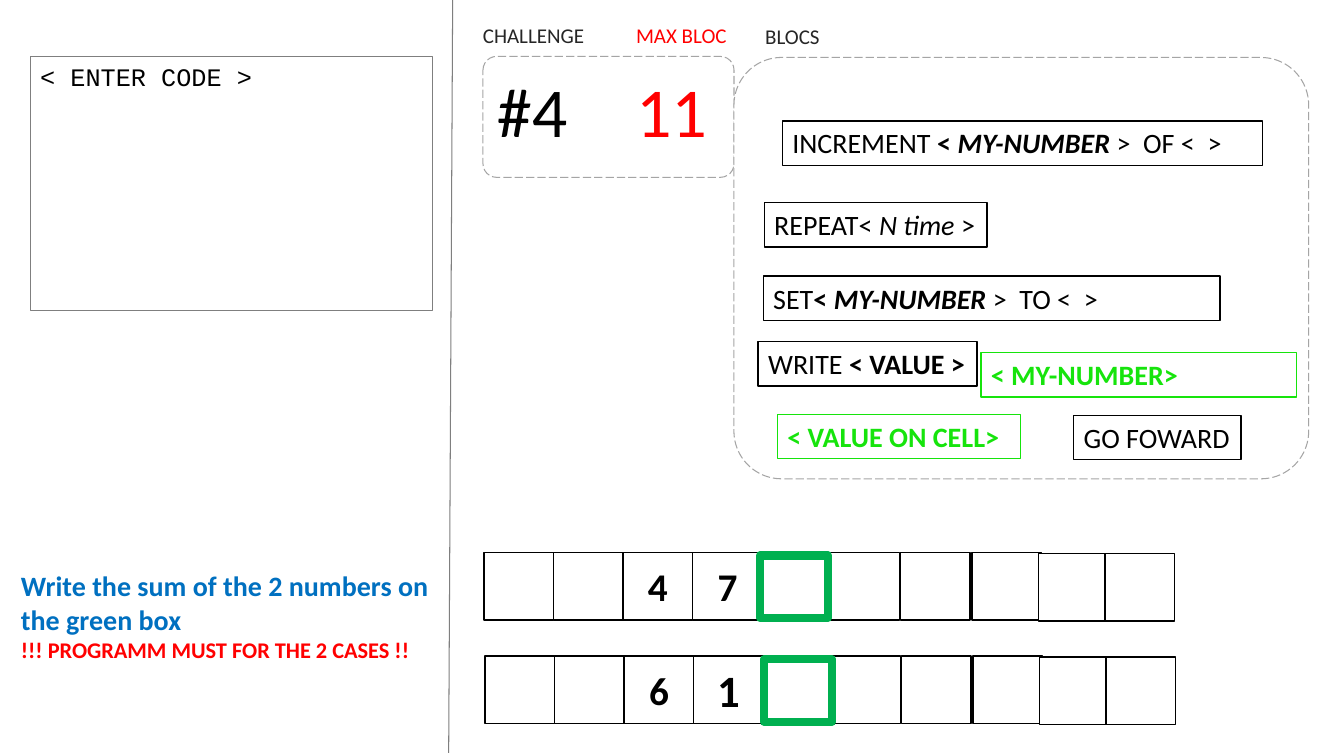
from lxml import etree
from pptx import Presentation
from pptx.dml.color import RGBColor
from pptx.enum.dml import MSO_LINE
from pptx.enum.shapes import MSO_CONNECTOR, MSO_SHAPE
from pptx.enum.text import MSO_ANCHOR, PP_ALIGN
from pptx.oxml.ns import qn
from pptx.util import Inches, Pt

COLORS = {
    "black": "000000", "white": "FFFFFF", "gray": "7F7F7F", "dash": "A5A5A5",
    "label": "262626", "red": "FF0000", "blue": "0070C0",
    "value": "16E40C", "target": "00B050",
}
CELL_W, CELL_H = 0.69, 0.67
# Cell offsets from the left end of a row: four before the target, five after it
CELLS_BEFORE = [i * CELL_W for i in range(4)]
CELLS_AFTER = [3.43, 4.13] + [4.84 + i * 0.66 for i in range(3)]


def rgb(name):
    return RGBColor.from_string(COLORS[name])


def set_font(font, size, color, bold=False, name="Calibri"):
    font.size, font.bold, font.name = Pt(size), bold, name
    font.color.rgb = rgb(color)


def add_box(slide, x, y, w, h, line="black", width=1, fill="white",
            kind=MSO_SHAPE.RECTANGLE):
    sp = slide.shapes.add_shape(kind, Inches(x), Inches(y), Inches(w), Inches(h))
    sp.shadow.inherit = False
    if fill:
        sp.fill.solid()
        sp.fill.fore_color.rgb = rgb(fill)
    else:
        sp.fill.background()
    sp.line.color.rgb = rgb(line)
    sp.line.width = Pt(width)
    return sp


def add_panel(slide, x, y, w, h):
    sp = add_box(slide, x, y, w, h, "dash", 0.75, kind=MSO_SHAPE.ROUNDED_RECTANGLE)
    sp.adjustments[0] = 0.113
    sp.line.dash_style = MSO_LINE.LONG_DASH


def add_divider(slide, x1, y1, x2, y2):
    line = slide.shapes.add_connector(MSO_CONNECTOR.STRAIGHT, Inches(x1), Inches(y1),
                                      Inches(x2), Inches(y2))
    line.line.color.rgb = rgb("gray")
    line.line.width = Pt(0.75)
    etree.SubElement(line._element.spPr, qn("a:effectLst"))


def add_text(slide, x, y, w, h, paragraphs):
    """Add a text box; each paragraph is (text, size, color, bold)."""
    tf = slide.shapes.add_textbox(Inches(x), Inches(y), Inches(w), Inches(h)).text_frame
    tf.word_wrap = True
    for i, (text, size, color, bold) in enumerate(paragraphs):
        p = tf.add_paragraph() if i else tf.paragraphs[0]
        p.text = text
        set_font(p.font, size, color, bold)


def add_code_area(slide, x, y, w, h, text):
    tf = add_box(slide, x, y, w, h, "gray", 0.75, fill=None).text_frame
    tf.vertical_anchor = MSO_ANCHOR.TOP
    p = tf.paragraphs[0]
    p.text, p.alignment = text, PP_ALIGN.LEFT
    set_font(p.font, 18, "black", name="Courier New")


def add_bloc(slide, x, y, w, runs, color="black", wrap=True):
    """Add a code bloc; each run is (text, style), style holding b and/or i."""
    tf = add_box(slide, x, y, w, 0.44, color).text_frame
    tf.word_wrap = wrap
    tf.vertical_anchor = MSO_ANCHOR.TOP
    p = tf.paragraphs[0]
    p.alignment = PP_ALIGN.LEFT
    for text, style in runs:
        r = p.add_run()
        r.text = text
        set_font(r.font, 20, color, "b" in style)
        r.font.italic = "i" in style


def add_number(cell, text, size):
    tf = cell.text_frame
    tf.vertical_anchor = MSO_ANCHOR.MIDDLE
    p = tf.paragraphs[0]
    p.text, p.alignment = text, PP_ALIGN.CENTER
    set_font(p.font, size, "black", True)


def add_cell_row(slide, x, y, target_x, numbers):
    """Add a row of cells; numbers maps a cell index to (text, size)."""
    for i, offset in enumerate(CELLS_BEFORE + CELLS_AFTER):
        drop = 0.01 if i >= 7 else 0
        cell = add_box(slide, x + offset, y + drop, CELL_W, CELL_H)
        if i in numbers:
            add_number(cell, *numbers[i])
    add_box(slide, target_x, y + 0.03, 0.67, 0.62, "target", 6, fill=None)


def main():
    prs = Presentation()
    prs.slide_width, prs.slide_height = Inches(13.33), Inches(7.5)
    slide = prs.slides.add_slide(prs.slide_layouts[6])

    add_divider(slide, 4.49, -0.03, 4.45, 7.47)
    add_code_area(slide, 0.3, 0.56, 3.99, 2.52, "< ENTER CODE >")
    add_panel(slide, 4.79, 0.56, 2.49, 1.2)
    add_panel(slide, 7.28, 0.57, 5.7, 4.18)

    for x, text, color in [(4.83, "#4", "black"), (6.21, "11", "red")]:
        add_text(slide, x, 0.62, 0.91, 0.94, [(text, 50, color, False)])
    for x, y, w, text, color in [
        (4.69, 0.17, 1.22, "CHALLENGE", "label"),
        (6.21, 0.17, 1.11, "MAX BLOC", "red"),
        (7.49, 0.18, 0.75, "BLOCS", "label"),
    ]:
        add_text(slide, x, y, w, 0.35, [(text, 15, color, False)])
    add_text(slide, 0.11, 5.59, 4.5, 1.04, [
        ("Write the sum of the 2 numbers on the green box", 20, "blue", True),
        ("!!! PROGRAMM MUST FOR THE 2 CASES !!", 16, "red", True),
    ])

    add_cell_row(slide, 4.8, 5.48, 7.54, {2: ("4", 28), 3: ("7", 28)})
    add_cell_row(slide, 4.81, 6.51, 7.58, {2: ("6", 28), 3: ("1", 32)})

    my_number = [("< ", "b"), ("MY-NUMBER ", "bi")]
    add_bloc(slide, 10.65, 4.12, 1.66, [("GO FOWARD", "")], wrap=False)
    add_bloc(slide, 7.52, 3.39, 2.17, [("WRITE ", ""), ("< VALUE >", "b")], wrap=False)
    add_bloc(slide, 7.76, 1.2, 4.76, [("INCREMENT ", ""), *my_number, (">  OF <  >", "")])
    add_bloc(slide, 7.58, 2.01, 2.21, [("REPEAT< ", ""), ("N time", "i"), (" >", "")],
             wrap=False)
    add_bloc(slide, 7.71, 4.11, 2.41, [("< VALUE ON CELL>", "b")], "value")
    add_bloc(slide, 7.57, 2.74, 4.53, [("SET", ""), *my_number, (">  TO <  >", "")])
    add_bloc(slide, 9.73, 3.5, 3.13, [("< MY-NUMBER>", "b")], "value")

    prs.save("out.pptx")


if __name__ == "__main__":
    main()
